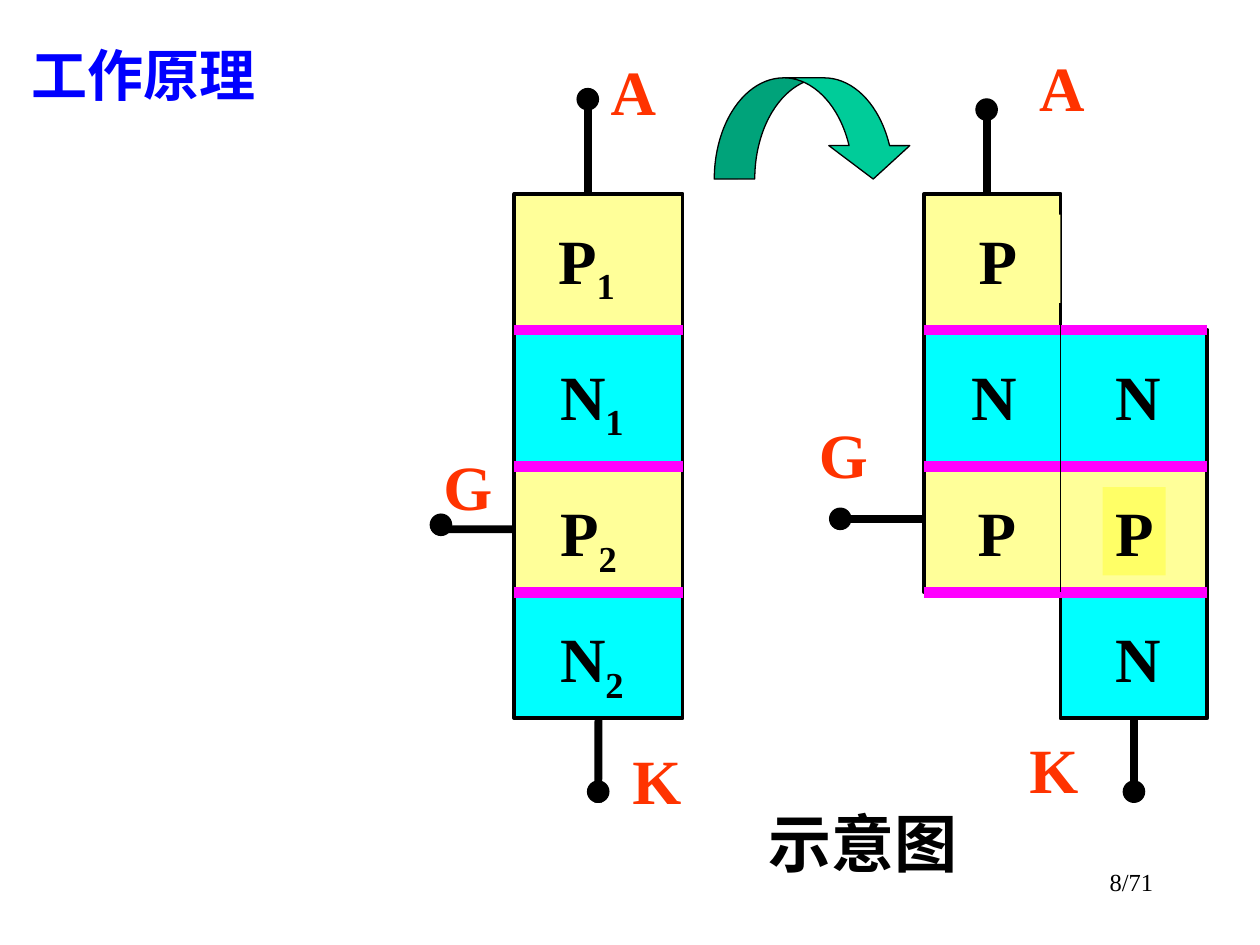
"""Build a slide on the working principle of a four-layer PNPN device."""
from pptx import Presentation
from pptx.dml.color import RGBColor
from pptx.enum.shapes import MSO_CONNECTOR, MSO_SHAPE
from pptx.enum.text import MSO_ANCHOR, PP_ALIGN
from pptx.oxml.ns import qn
from pptx.util import Cm, Pt

FONT = "Times New Roman"
BLACK, RED, BLUE, GREEN = "000000", "FF3300", "0000FF", "00CC99"
JUNCTION, N_FILL, P_FILL, P_BRIGHT = "FF00FF", "00FFFF", "FFFF99", "FFFF66"
ROWS = [3.91, 6.65, 9.4, 11.94, 14.48]
DOT = 0.43
LABEL_OFFSET = 0.42

DEVICES = [
    {
        "layers": [(3, 10.37, 13.76, N_FILL), (1, 10.37, 13.76, N_FILL),
                   (2, 10.37, 13.76, P_FILL), (0, 10.37, 13.76, P_FILL)],
        "labels": [(0, 11.0, 2.12, "P", "1", P_FILL), (1, 11.04, 2.12, "N", "1", None),
                   (2, 11.04, 2.12, "P", "2", P_FILL), (3, 11.04, 2.12, "N", "2", None)],
        "divider": None,
        "pins": [((11.85, 3.91), (11.85, 2.0), (11.85, 2.0), None),
                 ((12.06, 14.48), (12.06, 16.18), (12.06, 15.96), (0, 2)),
                 ((10.37, 10.67), (8.89, 10.67), (8.89, 10.58), (2, 1))],
        "terminals": [(12.06, 0.93, "A"), (8.69, 8.89, "G"), (12.5, 14.82, "K")],
    },
    {
        "layers": [(3, 21.38, 24.34, N_FILL), (1, 18.63, 24.34, N_FILL),
                   (2, 18.63, 24.34, P_FILL), (0, 18.63, 21.38, P_FILL)],
        "labels": [(0, 19.48, 1.9, "P", "", P_FILL), (2, 19.46, 1.27, "P", "", P_FILL),
                   (1, 19.33, 1.42, "N", "", N_FILL), (3, 22.23, 1.42, "N", "", N_FILL),
                   (1, 22.23, 1.42, "N", "", None), (2, 22.23, 1.27, "P", "", P_BRIGHT)],
        "divider": ((21.38, 6.45), (21.38, 11.94)),
        "pins": [((19.89, 3.91), (19.89, 2.21), (19.89, 2.21), None),
                 ((22.86, 14.48), (22.86, 15.98), (22.86, 15.96), (0, 2)),
                 ((18.63, 10.46), (16.94, 10.46), (16.94, 10.46), None)],
        "terminals": [(20.7, 0.84, "A"), (16.26, 8.25, "G"), (20.5, 14.6, "K")],
    },
]


def rgb(value):
    """Turn a hex string into a colour."""
    return RGBColor.from_string(value)


def write(shape, text, size=36, color=BLACK, bold=True, sub="", align=PP_ALIGN.LEFT, wrap=False):
    """Write one formatted paragraph, with an optional subscript."""
    tf = shape.text_frame
    tf.word_wrap = wrap
    tf.vertical_anchor = MSO_ANCHOR.TOP
    tf.margin_left = tf.margin_right = Cm(0.25)
    tf.margin_top = tf.margin_bottom = Cm(0.13)
    p = tf.paragraphs[0]
    p.alignment = align
    for part in filter(None, (text, sub)):
        r = p.add_run()
        r.text = part
        r.font.name, r.font.size, r.font.bold = FONT, Pt(size), bold
        r.font.color.rgb = rgb(color)
    if sub:
        r._r.get_or_add_rPr().set("baseline", "-25000")


def add_box(shapes, kind, left, top, width, height, fill, line):
    """Add a filled preset shape with a black outline."""
    box = shapes.add_shape(kind, Cm(left), Cm(top), Cm(width), Cm(height))
    box.shadow.inherit = False
    box.fill.solid()
    box.fill.fore_color.rgb = rgb(fill)
    box.line.color.rgb = rgb(BLACK)
    box.line.width = Pt(line)
    return box


def add_text(shapes, left, top, width, height, text, fill=None, **style):
    """Add a text box with an optional background."""
    box = shapes.add_textbox(Cm(left), Cm(top), Cm(width), Cm(height))
    if fill:
        box.fill.solid()
        box.fill.fore_color.rgb = rgb(fill)
    write(box, text, **style)


def add_line(shapes, start, end, color, width):
    """Add a straight connector without a shadow."""
    line = shapes.add_connector(MSO_CONNECTOR.STRAIGHT, *map(Cm, (*start, *end)))
    line.line.color.rgb = rgb(color)
    line.line.width = Pt(width)
    spPr = line._element.spPr
    spPr.append(spPr.makeelement(qn("a:effectLst"), {}))
    return line


def add_device(s, device):
    """Draw one device as a group of layers, junctions, labels and pins."""
    shapes = s.shapes.add_group_shape().shapes
    layers = [add_box(shapes, MSO_SHAPE.RECTANGLE, left, ROWS[row], right - left,
                      ROWS[row + 1] - ROWS[row], fill, 2.25)
              for row, left, right, fill in device["layers"]]
    left = min(layer[1] for layer in device["layers"])
    right = max(layer[2] for layer in device["layers"])
    for y in ROWS[1:-1]:
        add_line(shapes, (left, y), (right, y), JUNCTION, 6)
    for row, x, width, text, sub, fill in device["labels"]:
        add_text(shapes, x, ROWS[row] + LABEL_OFFSET, width, 2.0 if sub else 1.78,
                 text, fill, sub=sub)
    if device["divider"]:
        add_line(shapes, *device["divider"], BLACK, 0.75)
    for start, end, (x, y), joint in device["pins"]:
        pin = add_line(shapes, start, end, BLACK, 4.5)
        if joint:
            pin.begin_connect(layers[joint[0]], joint[1])
        add_box(shapes, MSO_SHAPE.OVAL, x - DOT / 2, y - DOT / 2, DOT, DOT, BLACK, 0.75)
    for x, y, text in device["terminals"]:
        add_text(shapes, x, y, 1.5, 1.78, text, color=RED)


def main():
    """Compose and save the slide."""
    prs = Presentation()
    prs.slide_width, prs.slide_height = Cm(25.4), Cm(19.05)
    s = prs.slides.add_slide(prs.slide_layouts[5])
    title = s.shapes.title
    title.left, title.top, title.width, title.height = map(Cm, (0.38, 0.69, 14.94, 1.63))
    write(title, "工作原理", size=32, color=BLUE, wrap=True)
    arrow = add_box(s.shapes, MSO_SHAPE.CURVED_DOWN_ARROW, 14.4, 1.57, 4.02, 2.04, GREEN, 0.75)
    for i, value in enumerate((0.4, 0.8, 0.33)):
        arrow.adjustments[i] = value
    for device in DEVICES:
        add_device(s, device)
    add_text(s.shapes, 15.24, 16.08, 4.65, 1.78, "示意图", wrap=True)
    add_text(s.shapes, 18.21, 17.35, 5.29, 1.27, "8/71", size=14, bold=False,
             align=PP_ALIGN.RIGHT, wrap=True)
    prs.save("out.pptx")


if __name__ == "__main__":
    main()
